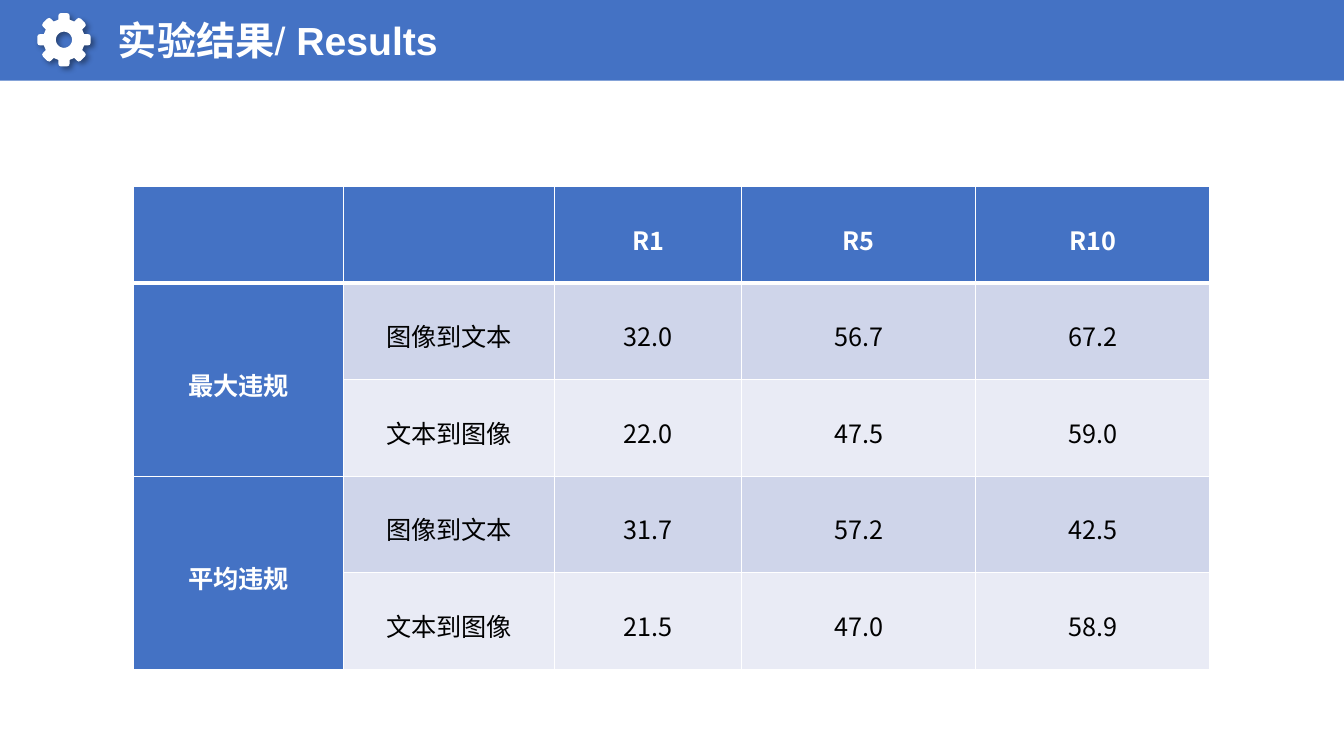
from dataclasses import dataclass
from math import cos, pi, sin

from lxml import etree
from pptx import Presentation
from pptx.dml.color import RGBColor
from pptx.enum.shapes import MSO_SHAPE
from pptx.enum.text import MSO_ANCHOR, MSO_AUTO_SIZE, PP_ALIGN
from pptx.oxml.ns import qn
from pptx.shapes.autoshape import Shape
from pptx.slide import Slide
from pptx.table import _Cell
from pptx.text.text import _Paragraph
from pptx.util import Inches, Pt

RECTANGLE = MSO_SHAPE.RECTANGLE
CENTER, JUSTIFY = PP_ALIGN.CENTER, PP_ALIGN.JUSTIFY
MIDDLE = MSO_ANCHOR.MIDDLE
GROW = MSO_AUTO_SIZE.SHAPE_TO_FIT_TEXT
WIDTH, HEIGHT = Inches(13.33), Inches(7.5)


@dataclass(frozen=True)
class Theme:
    accent: str = "4472C4"
    light: str = "FFFFFF"
    dark: str = "000000"
    bands: tuple[str, str] = ("CFD5EA", "E9EBF5")
    latin: str = "Arial"
    asian: str = "Noto Sans CJK SC"
    title_size: float = 28
    cell_size: float = 18
    thin: float = 1
    thick: float = 3


@dataclass(frozen=True)
class Area:
    left: float
    top: float
    width: float
    height: float

    def lengths(self) -> tuple[int, int, int, int]:
        return (round(self.left * WIDTH), round(self.top * HEIGHT),
                round(self.width * WIDTH), round(self.height * HEIGHT))


@dataclass(frozen=True)
class Span:
    text: str
    bold: bool
    font: str
    size: float
    color: str


@dataclass(frozen=True)
class Gear:
    center_x: float
    center_y: float
    teeth: int
    hole: float
    tooth: tuple[tuple[float, float], ...]


THEME = Theme()
BANNER = Area(0, 0, 1, 0.8 / 7.5)
TITLE = Area(1.1 / 13.33, 0.12 / 7.5, 8.99 / 13.33, 0.55 / 7.5)
RESULTS = Area(1.32 / 13.33, 1.85 / 7.5, 10.68 / 13.33, 4.79 / 7.5)
COLUMN_SHARES = (9, 9, 8, 10, 10)
GEAR = Gear(0.635, 0.395, 8, 0.08, (
    (-0.055, 0.2), (-0.055, 0.24), (-0.05, 0.256), (-0.03, 0.265),
    (0.03, 0.265), (0.05, 0.256), (0.055, 0.24), (0.055, 0.2)))
ROWS = (
    ("", "", "R1", "R5", "R10"),
    ("最大违规", "图像到文本", "32.0", "56.7", "67.2"),
    ("", "文本到图像", "22.0", "47.5", "59.0"),
    ("平均违规", "图像到文本", "31.7", "57.2", "42.5"),
    ("", "文本到图像", "21.5", "47.0", "58.9"),
)


def apply(target: object, values: dict[str, object]) -> None:
    for name, value in values.items():
        setattr(target, name, value)


def paint(shape: Shape, color: str) -> None:
    shape.shadow.inherit = False
    shape.fill.solid()
    shape.fill.fore_color.rgb = RGBColor.from_string(color)
    shape.line.fill.background()


def add_span(para: _Paragraph, span: Span) -> None:
    run = para.add_run()
    run.text = span.text
    apply(run.font, {"name": span.font, "size": Pt(span.size), "bold": span.bold})
    run.font.color.rgb = RGBColor.from_string(span.color)
    properties = run._r.get_or_add_rPr()
    etree.SubElement(properties, qn("a:ea"), typeface=THEME.asian)


def add_banner(page: Slide) -> None:
    paint(page.shapes.add_shape(RECTANGLE, *BANNER.lengths()), THEME.accent)


def add_title(page: Slide) -> None:
    frame = page.shapes.add_textbox(*TITLE.lengths()).text_frame
    apply(frame, {
        "word_wrap": True, "auto_size": GROW,
        "margin_left": Inches(0.07), "margin_right": Inches(0.07),
        "margin_top": Inches(0.04), "margin_bottom": Inches(0.04)})
    para = frame.paragraphs[0]
    para.alignment = JUSTIFY
    for text, bold in (("实验结果", True), ("/", False), (" Results", True)):
        add_span(para, Span(text, bold, THEME.latin, THEME.title_size, THEME.light))


def add_gear(page: Slide, gear: Gear) -> None:
    def place(across: float, out: float, angle: float) -> tuple[int, int]:
        return (Inches(gear.center_x + across * cos(angle) + out * sin(angle)),
                Inches(gear.center_y + across * sin(angle) - out * cos(angle)))

    rim = [place(across, out, 2 * pi * tooth / gear.teeth)
           for tooth in range(gear.teeth) for across, out in gear.tooth]
    hole = [place(0, gear.hole, -2 * pi * step / 40) for step in range(40)]
    builder = page.shapes.build_freeform(*rim[0])
    builder.add_line_segments(rim[1:], close=True)
    builder.move_to(*hole[0])
    builder.add_line_segments(hole[1:], close=True)
    shape = builder.convert_to_shape()
    paint(shape, THEME.light)
    effects = shape._element.spPr.find(qn("a:effectLst"))
    shadow = etree.SubElement(
        effects, qn("a:outerShdw"), blurRad=str(Pt(4)), dist=str(Pt(3)),
        dir=str(45 * 60000), algn="tl", rotWithShape="0")
    color = etree.SubElement(shadow, qn("a:srgbClr"), val=THEME.dark)
    etree.SubElement(color, qn("a:alpha"), val="40000")


def add_borders(cell: _Cell, row: int) -> None:
    widths = {"L": THEME.thin, "R": THEME.thin,
              "T": THEME.thick if row == 1 else THEME.thin,
              "B": THEME.thick if row == 0 else THEME.thin}
    properties = cell._tc.get_or_add_tcPr()
    for side, width in widths.items():
        line = etree.SubElement(properties, qn(f"a:ln{side}"), w=str(Pt(width)))
        fill = etree.SubElement(line, qn("a:solidFill"))
        etree.SubElement(fill, qn("a:srgbClr"), val=THEME.light)


def fill_cell(cell: _Cell, text: str, row: int, column: int) -> None:
    heading = row == 0 or column == 0
    add_borders(cell, row)
    cell.fill.solid()
    cell.fill.fore_color.rgb = RGBColor.from_string(
        THEME.accent if heading else THEME.bands[(row - 1) % 2])
    apply(cell, {
        "vertical_anchor": MIDDLE, "margin_top": 0, "margin_bottom": 0,
        "margin_left": Inches(0.07), "margin_right": Inches(0.07)})
    if text:
        para = cell.text_frame.paragraphs[0]
        apply(para, {"alignment": CENTER, "line_spacing": 1.25})
        add_span(para, Span(text, heading, THEME.asian, THEME.cell_size,
                            THEME.light if heading else THEME.dark))


def add_results(page: Slide) -> None:
    left, top, width, height = RESULTS.lengths()
    table = page.shapes.add_table(
        len(ROWS), len(COLUMN_SHARES), left, top, width, height).table
    for column, share in zip(table.columns, COLUMN_SHARES):
        column.width = round(width * share / sum(COLUMN_SHARES))
    for row, texts in enumerate(ROWS):
        for column, text in enumerate(texts):
            fill_cell(table.cell(row, column), text, row, column)
    for row in range(1, len(ROWS), 2):
        table.cell(row, 0).merge(table.cell(row + 1, 0))


def main() -> None:
    deck = Presentation()
    apply(deck, {"slide_width": WIDTH, "slide_height": HEIGHT})
    page = deck.slides.add_slide(deck.slide_layouts[6])
    add_results(page)
    add_banner(page)
    add_title(page)
    add_gear(page, GEAR)
    deck.save("out.pptx")


if __name__ == "__main__":
    main()
